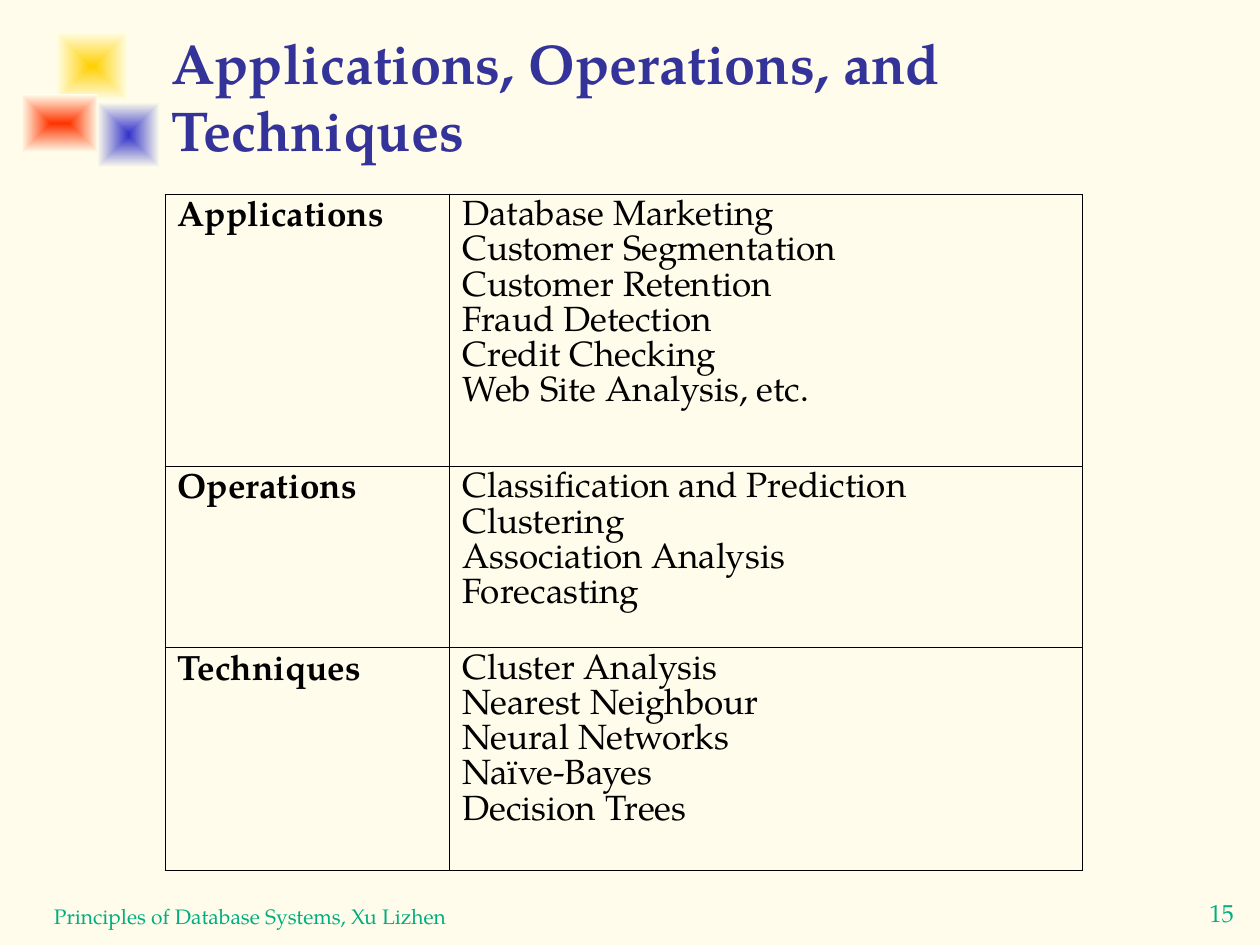
from lxml import etree
from pptx import Presentation
from pptx.dml.color import RGBColor
from pptx.enum import shapes, text
from pptx.oxml import ns
from pptx import util as u

CREAM = RGBColor(0xFF, 0xFC, 0xEB)
PALE = RGBColor(0xFF, 0xFE, 0xEB)
YELLOW = RGBColor(0xFF, 0xCF, 0x01)
BLUE = RGBColor(0x33, 0x33, 0xCC)
RED = RGBColor(0xFF, 0x33, 0x00)
INDIGO = RGBColor(0x33, 0x33, 0x99)
GREEN = RGBColor(0x00, 0xAE, 0x80)
BLACK = RGBColor(0, 0, 0)

TOPICS = {
    "Applications": ["Database Marketing", "Customer Segmentation", "Customer Retention",
                     "Fraud Detection", "Credit Checking", "Web Site Analysis, etc."],
    "Operations": ["Classification and Prediction", "Clustering", "Association Analysis",
                   "Forecasting"],
    "Techniques": ["Cluster Analysis", "Nearest Neighbour", "Neural Networks",
                   "Naïve-Bayes", "Decision Trees"],
}


class Deck:
    """Holds the style and the current slide, and adds each kind of element."""

    font = "TeX Gyre Pagella"

    def __init__(self, prs):
        self.slide = prs.slides.add_slide(prs.slide_layouts[6])
        background = self.slide.background.fill
        background.solid()
        background.fore_color.rgb = CREAM

    def set_text(self, frame, content, size, color, bold=False, pitch=None):
        frame.text = content
        for paragraph in frame.paragraphs:
            if pitch:
                paragraph.line_spacing = u.Pt(pitch)
            for run in paragraph.runs:
                run.font.name = self.font
                run.font.size = u.Pt(size)
                run.font.bold = bold
                run.font.color.rgb = color

    def glow(self, left, top, width, height, color):
        square = self.slide.shapes.add_shape(
            shapes.MSO_SHAPE.RECTANGLE, *map(u.Inches, (left, top, width, height)))
        square.shadow.inherit = False
        square.line.fill.background()
        square.fill.gradient()
        stops = square.fill.gradient_stops
        for stop, shade, position in zip(stops, (color, PALE), (0, 1)):
            stop.color.rgb = shade
            stop.position = position
        gradient = square.element.spPr.find(ns.qn("a:gradFill"))
        linear = gradient.find(ns.qn("a:lin"))
        radial = etree.Element(ns.qn("a:path"), {"path": "rect"})
        etree.SubElement(radial, ns.qn("a:fillToRect"), dict.fromkeys("ltrb", "50000"))
        gradient.replace(linear, radial)

    def label(self, left, top, width, height, content, size, color, bold=False, wrap=True,
              anchor=text.MSO_ANCHOR.BOTTOM, align=text.PP_ALIGN.LEFT):
        box = self.slide.shapes.add_textbox(*map(u.Inches, (left, top, width, height)))
        frame = box.text_frame
        frame.word_wrap = wrap
        frame.vertical_anchor = anchor
        self.set_text(frame, content, size, color, bold)
        frame.paragraphs[0].alignment = align

    def border(self, cell):
        properties = cell._tc.get_or_add_tcPr()
        for position, side in enumerate(("a:lnL", "a:lnR", "a:lnT", "a:lnB")):
            line = etree.Element(ns.qn(side), {"w": str(u.Pt(0.45))})
            fill = etree.SubElement(line, ns.qn("a:solidFill"))
            etree.SubElement(fill, ns.qn("a:srgbClr"), {"val": str(BLACK)})
            properties.insert(position, line)

    def table(self, left, top, widths, heights, topics):
        grid = self.slide.shapes.add_table(
            len(heights), len(widths), u.Inches(left), u.Inches(top),
            u.Inches(sum(widths)), u.Inches(sum(heights))).table
        for column, width in zip(grid.columns, widths):
            column.width = u.Inches(width)
        for row, height, (topic, examples) in zip(grid.rows, heights, topics.items()):
            row.height = u.Inches(height)
            for cell, content, bold in zip(row.cells, (topic, "\n".join(examples)), (True, False)):
                cell.fill.background()
                self.border(cell)
                self.set_text(cell.text_frame, content, 20, BLACK, bold, pitch=20.15)


def main():
    prs = Presentation()
    prs.slide_width, prs.slide_height = u.Inches(10), u.Inches(7.5)
    deck = Deck(prs)
    deck.glow(0.44, 0.25, 0.58, 0.55, YELLOW)
    deck.glow(0.77, 0.81, 0.5, 0.52, BLUE)
    deck.glow(0.17, 0.75, 0.61, 0.46, RED)
    deck.label(9.1, 7.08, 1.19, 0.38, "15", 14, GREEN, wrap=False,
               anchor=text.MSO_ANCHOR.TOP, align=text.PP_ALIGN.CENTER)
    deck.label(0.33, 6.92, 6.5, 0.5, "Principles of Database Systems, Xu Lizhen", 12, GREEN)
    deck.label(1.26, 0.17, 8.52, 1.17, "Applications, Operations, and Techniques", 32, INDIGO,
               bold=True)
    deck.table(1.31, 1.54, (2.26, 5.02), (2.16, 1.44, 1.77), TOPICS)
    prs.save("out.pptx")


if __name__ == "__main__":
    main()
